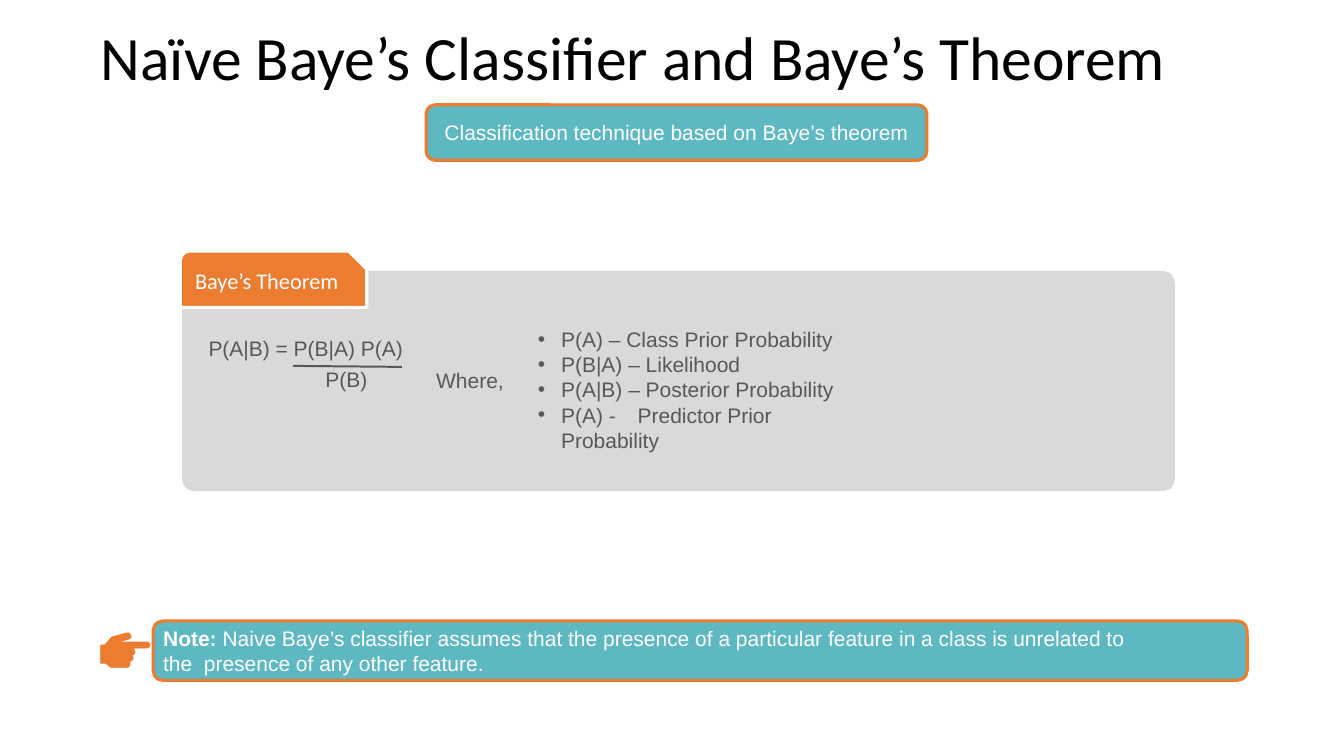
from lxml import etree
from pptx import Presentation
from pptx.dml.color import RGBColor
from pptx.enum.shapes import MSO_CONNECTOR, MSO_SHAPE
from pptx.enum.text import MSO_ANCHOR, PP_ALIGN
from pptx.oxml.ns import qn
from pptx.util import Inches, Pt

ROUNDED = MSO_SHAPE.ROUNDED_RECTANGLE
TAB = MSO_SHAPE.SNIP_ROUND_RECTANGLE
STRAIGHT = MSO_CONNECTOR.STRAIGHT
TOP, MIDDLE = MSO_ANCHOR.TOP, MSO_ANCHOR.MIDDLE
LEFT, CENTER = PP_ALIGN.LEFT, PP_ALIGN.CENTER

TEAL, ORANGE, PANEL = "5EB8C2", "EC7C30", "D9D9D9"
GREY, WHITE, BLACK = "585858", "FFFFFF", "000000"

HAND = [
    (1.25, 6.62), (1.1, 6.62), (1.05, 6.58), (1, 6.58), (1, 6.4), (1.04, 6.4),
    (1.11, 6.32), (1.26, 6.28), (1.28, 6.28), (1.3, 6.31), (1.3, 6.33),
    (1.28, 6.34), (1.17, 6.37), (1.46, 6.37), (1.48, 6.38), (1.49, 6.4),
    (1.48, 6.42), (1.46, 6.43), (1.3, 6.43), (1.33, 6.44), (1.34, 6.47),
    (1.33, 6.49), (1.31, 6.5), (1.32, 6.52), (1.32, 6.54), (1.3, 6.56),
    (1.28, 6.56), (1.29, 6.58), (1.29, 6.6), (1.27, 6.62),
]


def color(value):
    return RGBColor.from_string(value)


class SlideBuilder:
    """Holds the text style and the current slide."""

    font, size = "Arial", 15

    def __init__(self, page):
        self.shapes = page.shapes

    def paint(self, shape, fill, line, width):
        shape.shadow.inherit = False
        shape.fill.solid()
        shape.fill.fore_color.rgb = color(fill)
        shape.line.color.rgb = color(line)
        shape.line.width = Pt(width)

    def label(self, shape, paras, ink, font=None, size=None, align=LEFT,
              anchor=TOP, margins=(0, 0), wrap=True, bullets=False):
        """Each paragraph is a list of (text, bold) spans or a plain string."""
        frame = shape.text_frame
        frame.word_wrap = wrap
        frame.vertical_anchor = anchor
        frame.margin_left, frame.margin_right = map(Inches, margins)
        frame.margin_top = frame.margin_bottom = 0
        for index, spans in enumerate(paras):
            para = frame.add_paragraph() if index else frame.paragraphs[0]
            para.alignment = align
            if bullets:
                self.bullet(para, ink)
            para.font.name = font or self.font
            para.font.size = Pt(size or self.size)
            para.font.color.rgb = color(ink)
            if isinstance(spans, str):
                spans = [(spans, None)]
            for text, bold in spans:
                span = para.add_run()
                span.text = text
                span.font.bold = bold

    def bullet(self, para, ink):
        props = para._p.get_or_add_pPr()
        props.set("marL", str(Inches(0.24)))
        props.set("indent", str(Inches(-0.23)))
        tint = etree.SubElement(props, qn("a:buClr"))
        etree.SubElement(tint, qn("a:srgbClr"), val=ink)
        etree.SubElement(props, qn("a:buFont"), typeface=self.font)
        etree.SubElement(props, qn("a:buChar"), char="•")
        stops = etree.SubElement(props, qn("a:tabLst"))
        etree.SubElement(stops, qn("a:tab"), pos=str(Inches(1)), algn="l")

    def text(self, left, top, width, height, paras, ink, **style):
        box = self.shapes.add_textbox(*map(Inches, (left, top, width, height)))
        self.label(box, paras, ink, **style)

    def block(self, kind, left, top, width, height, fill, line,
              corners, line_width=2.25):
        """Corner sizes are lengths in inches."""
        shape = self.shapes.add_shape(
            kind, *map(Inches, (left, top, width, height)))
        for index, corner in enumerate(corners):
            shape.adjustments[index] = corner / height
        self.paint(shape, fill, line, line_width)
        return shape

    def outline(self, points, fill, line_width):
        corners = [(Inches(x), Inches(y)) for x, y in points]
        builder = self.shapes.build_freeform(*corners[0])
        builder.add_line_segments(corners[1:], close=True)
        self.paint(builder.convert_to_shape(), fill, fill, line_width)

    def line(self, start, end, ink, width):
        rule = self.shapes.add_connector(
            STRAIGHT, *map(Inches, (*start, *end)))
        rule.line.color.rgb = color(ink)
        rule.line.width = Pt(width)
        etree.SubElement(rule._element.spPr, qn("a:effectLst"))


def main():
    deck = Presentation()
    deck.slide_width, deck.slide_height = Inches(13.34), Inches(7.5)
    slide = SlideBuilder(deck.slides.add_slide(deck.slide_layouts[6]))

    # Title and subtitle
    slide.text(1, -0.19, 10.9, 1.48,
               ["Naïve Baye’s Classifier and Baye’s Theorem"], BLACK,
               font="Calibri", size=44, anchor=MIDDLE)
    subtitle = slide.block(ROUNDED, 4.23, 1.04, 4.97, 0.55, TEAL, ORANGE, [0.09])
    slide.label(subtitle, ["Classification technique based on Baye’s theorem"],
                WHITE, align=CENTER, anchor=MIDDLE, wrap=False)

    # Theorem panel with its tab
    slide.block(ROUNDED, 1.83, 2.71, 9.81, 2.14, PANEL, PANEL, [0.1], 3.25)
    tab = slide.block(TAB, 1.79, 2.49, 1.85, 0.56, ORANGE, WHITE, [0.09, 0.18])
    slide.label(tab, ["Baye’s Theorem"], WHITE, font="Calibri", size=16,
                anchor=MIDDLE, margins=(0.12, 0))

    # Formula
    slide.text(2.07, 3.33, 2.1, 0.26, ["P(A|B) = P(B|A) P(A)"], GREY)
    slide.line((2.91, 3.63), (3.99, 3.64), GREY, 1.42)
    slide.text(3.23, 3.64, 0.6, 0.26, ["P(B)"], GREY)

    # Terms
    slide.text(4.33, 3.65, 0.8, 0.26, ["Where,"], GREY)
    slide.text(5.33, 3.24, 3.27, 1.26, [
        "P(A) – Class Prior Probability",
        "P(B|A) – Likelihood",
        "P(A|B) – Posterior Probability",
        "P(A) -\tPredictor Prior Probability",
    ], GREY, bullets=True)

    # Note with pointing hand
    slide.outline(HAND, ORANGE, 0.57)
    note = slide.block(ROUNDED, 1.52, 6.16, 10.86, 0.59, TEAL, ORANGE, [0.1])
    slide.label(note, [[
        ("Note: ", True),
        ("Naive Baye’s classifier assumes that the presence of a particular "
         "feature in a class is unrelated to the  presence of any other "
         "feature.", False),
    ]], WHITE, anchor=MIDDLE, margins=(0.07, 0.84))

    deck.save("out.pptx")


if __name__ == "__main__":
    main()
